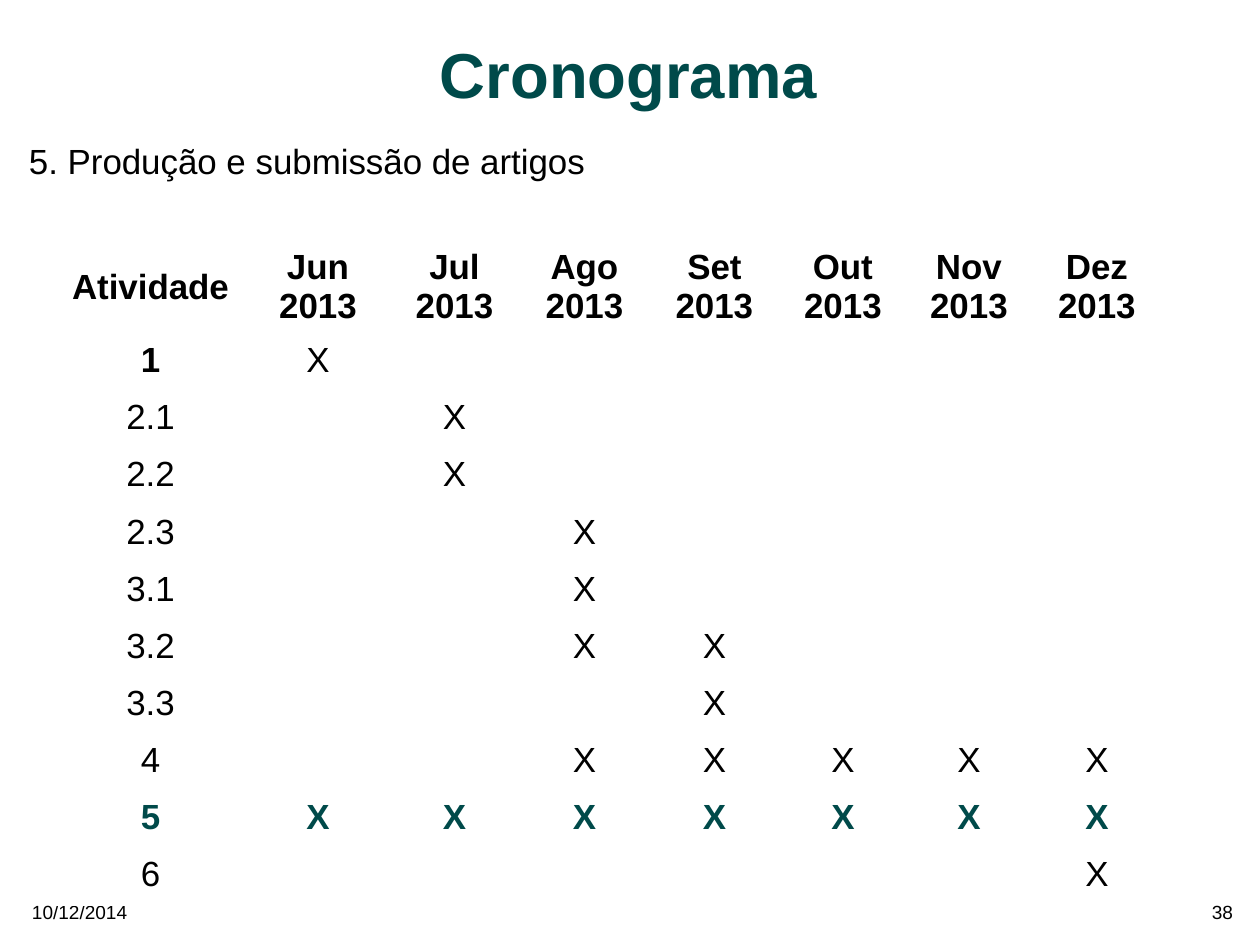
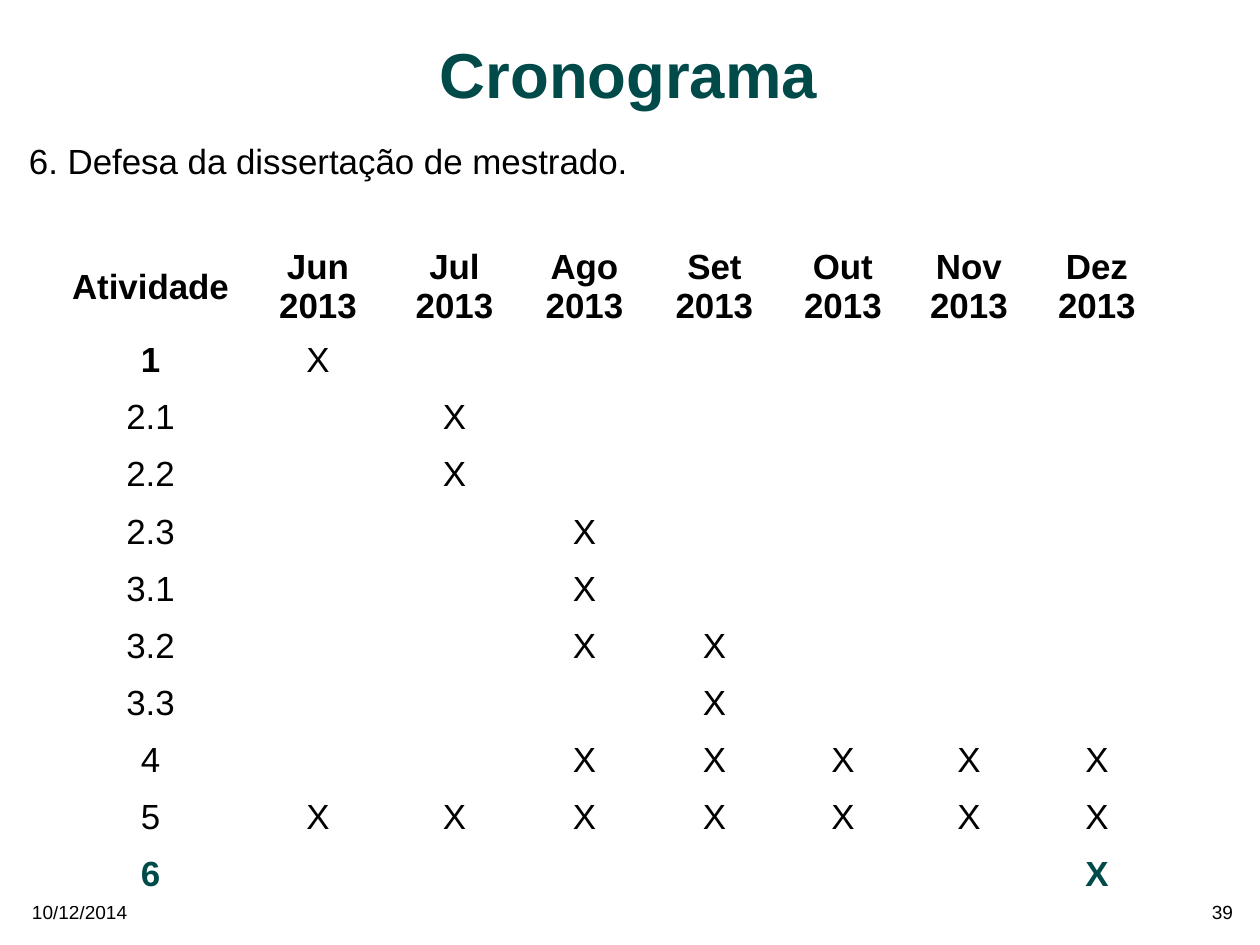
"""Build the two schedule slides."""
import pptx
import pptx.util
import pptx.dml.color
import pptx.enum.text
import pptx.oxml

HUES = {"ink": "000000", "teal": "004A4A", "edge": "FFFFFF"}
FONT = "Arial"
DATE = "10/12/2014"
TITLE = "Cronograma"
SLIDES = [
    ("5. Produção e submissão de artigos", "38", "5"),
    ("6. Defesa da dissertação de mestrado.", "39", "6"),
]
HEAD = "Atividade"
YEAR = "2013"
MONTHS = ["Jun", "Jul", "Ago", "Set", "Out", "Nov", "Dez"]
TASKS = [
    ("1", ["Jun"]),
    ("2.1", ["Jul"]),
    ("2.2", ["Jul"]),
    ("2.3", ["Ago"]),
    ("3.1", ["Ago"]),
    ("3.2", ["Ago", "Set"]),
    ("3.3", ["Set"]),
    ("4", MONTHS[2:]),
    ("5", MONTHS),
    ("6", ["Dez"]),
]
BOLD = {"1"}
WIDTHS = [193, 142, 131, 129, 131, 126, 126, 130]
HEIGHTS = [95] + [57] * 2 + [58] + [57] * 7
ALIGN = pptx.enum.text.PP_ALIGN
MIDDLE = pptx.enum.text.MSO_ANCHOR.MIDDLE
TOP = pptx.enum.text.MSO_ANCHOR.TOP


def px(num):
    return pptx.util.Emu(num * 8000)


def write(frame, lines, size, hue="ink", bold=False, align=ALIGN.LEFT):
    for num, line in enumerate(lines):
        para = frame.add_paragraph() if num else frame.paragraphs[0]
        para.alignment = align
        run = para.add_run()
        run.text = line
        font = run.font
        font.name, font.size, font.bold = FONT, pptx.util.Pt(size), bold
        font.color.rgb = pptx.dml.color.RGBColor.from_string(HUES[hue])


def label(slide, spot, text, size, anchor=TOP, **style):
    frame = slide.shapes.add_textbox(*map(px, spot)).text_frame
    frame.word_wrap = True
    frame.vertical_anchor = anchor
    frame.margin_left = frame.margin_right = 0
    frame.margin_top = frame.margin_bottom = 0
    write(frame, [text], size, **style)
    return frame


def dress(cell, anchor):
    cell.margin_left = cell.margin_right = px(5)
    cell.margin_top = cell.margin_bottom = px(6)
    cell.vertical_anchor = anchor
    props = cell._tc.get_or_add_tcPr()
    for side in "LRTB":
        props.append(pptx.oxml.parse_xml(
            f'<a:ln{side} xmlns:a="http://schemas.openxmlformats.org/drawingml/2006/main"'
            f' w="15120"><a:solidFill><a:srgbClr val="{HUES["edge"]}"/>'
            f'</a:solidFill></a:ln{side}>'))
    cell.fill.background()


def plan(slide, focus):
    grid = slide.shapes.add_table(
        len(HEIGHTS), len(WIDTHS), px(54), px(239),
        px(sum(WIDTHS)), px(sum(HEIGHTS))).table
    grid.first_row = grid.horz_banding = False
    for col, width in zip(grid.columns, WIDTHS):
        col.width = px(width)
    for row, height in zip(grid.rows, HEIGHTS):
        row.height = px(height)

    heads = [[HEAD]] + [[month, YEAR] for month in MONTHS]
    for col, lines in enumerate(heads):
        cell = grid.cell(0, col)
        dress(cell, MIDDLE)
        write(cell.text_frame, lines, 22, bold=True, align=ALIGN.CENTER)

    for row, (task, active) in enumerate(TASKS, 1):
        hot = task == focus
        marks = [task] + ["X" if month in active else "" for month in MONTHS]
        for col, mark in enumerate(marks):
            cell = grid.cell(row, col)
            dress(cell, TOP)
            if mark:
                write(cell.text_frame, [mark], 22, "teal" if hot else "ink",
                      hot or mark in BOLD, ALIGN.CENTER)


def main():
    deck = pptx.Presentation()
    deck.slide_width, deck.slide_height = px(1260), px(945)
    for text, page, focus in SLIDES:
        slide = deck.slides.add_slide(deck.slide_layouts[6])
        label(slide, (32, 900, 334, 24), DATE, 12)
        label(slide, (900, 900, 333, 24), page, 12, align=ALIGN.RIGHT)
        title = label(slide, (145, 21, 967, 119), TITLE, 40, MIDDLE,
                      hue="teal", bold=True, align=ALIGN.CENTER)
        title.paragraphs[0].line_spacing = 0.8
        label(slide, (29, 140, 1200, 85), text, 22)
        plan(slide, focus)
    deck.save("out.pptx")


if __name__ == "__main__":
    main()
